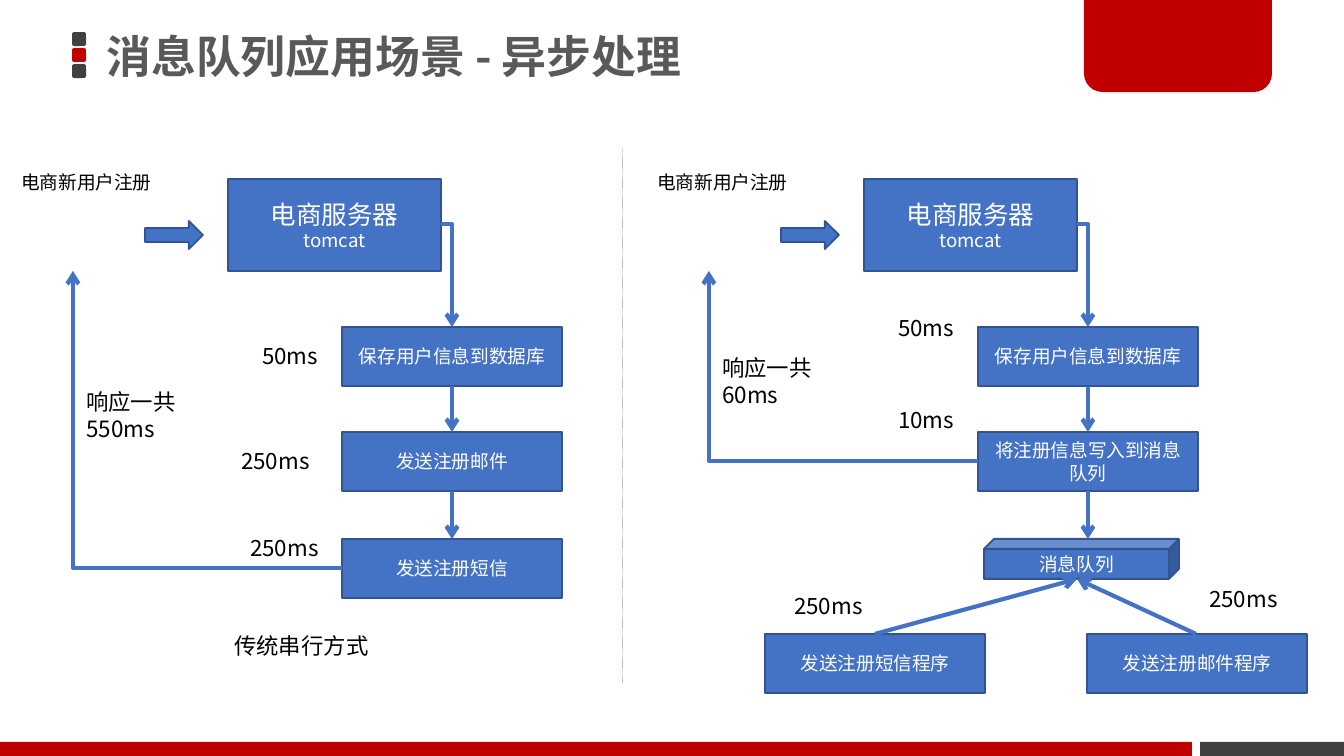
import dataclasses
import pptx
import pptx.util
import pptx.dml.color
import pptx.enum.dml
import pptx.enum.shapes
import pptx.enum.text
import pptx.oxml
import pptx.oxml.ns


@dataclasses.dataclass(frozen=True)
class Theme:
    font: str = "Noto Sans CJK SC"
    red: str = "C00000"
    dark: str = "404040"
    title: str = "595959"
    blue: str = "4472C4"
    outline: str = "325491"
    divider: str = "BFBFBF"
    black: str = "000000"
    white: str = "FFFFFF"
    title_size: float = 24
    server_size: float = 13.7
    label_size: float = 12
    small_size: float = 10
    flow_width: float = 2.25


theme = Theme()
scale = 914400 / 134.4
rgb = pptx.dml.color.RGBColor.from_string
kinds = pptx.enum.shapes.MSO_SHAPE
links = pptx.enum.shapes.MSO_CONNECTOR
align = pptx.enum.text.PP_ALIGN
qn = pptx.oxml.ns.qn


def px(*lengths):
    return [pptx.util.Emu(round(length * scale)) for length in lengths]


def write(frame, text, sizes, color, alignment, bold=False):
    frame.word_wrap = True
    frame.text = text
    for para, size in zip(frame.paragraphs, sizes):
        para.alignment = alignment
        for span in para.runs:
            span.font.name = theme.font
            span.font.size = pptx.util.Pt(size)
            span.font.bold = bold
            span.font.color.rgb = rgb(color)
            east = pptx.oxml.parse_xml(f'<a:ea {pptx.oxml.ns.nsdecls("a")} typeface="{theme.font}"/>')
            span.font._element.append(east)


deck = pptx.Presentation()
deck.slide_width, deck.slide_height = px(1344, 756)
page = deck.slides.add_slide(deck.slide_layouts[5])

title = page.shapes.title
title.left, title.top, title.width, title.height = px(93, 0, 1160, 117)
write(title.text_frame, "消息队列应用场景 - 异步处理", [theme.title_size], theme.title, align.LEFT, True)
title.text_frame.vertical_anchor = pptx.enum.text.MSO_ANCHOR.MIDDLE
title.text_frame.auto_size = pptx.enum.text.MSO_AUTO_SIZE.NONE
title.text_frame.paragraphs[0].line_spacing = 0.9

decorations = [
    (kinds.RECTANGLE, (0, 742, 1192, 14), theme.red, 0),
    (kinds.RECTANGLE, (1200, 742, 144, 14), theme.dark, 0),
    (kinds.ROUND_2_SAME_RECTANGLE, (1084, 0, 188, 92), theme.red, 180),
]
for row, color in enumerate([theme.dark, theme.red, theme.dark]):
    decorations.append((kinds.ROUNDED_RECTANGLE, (72, 32 + 16 * row, 14, 14), color, 0))
for kind, bounds, color, turn in decorations:
    decoration = page.shapes.add_shape(kind, *px(*bounds))
    decoration.shadow.inherit = False
    decoration.fill.solid()
    decoration.fill.fore_color.rgb = rgb(color)
    decoration.line.fill.background()
    decoration.rotation = turn
    if kind == kinds.ROUND_2_SAME_RECTANGLE:
        decoration.adjustments[0] = 0.2

step_size = (220, 59)
nodes = [
    (kinds.RECTANGLE, (342, 539, *step_size), "发送注册短信"),
    (kinds.RECTANGLE, (765, 634, *step_size), "发送注册短信程序"),
    (kinds.RECTANGLE, (1087, 634, *step_size), "发送注册邮件程序"),
    (kinds.CUBE, (984, 539, 195, 40), "消息队列"),
]
labels = [
    ((73, 382, 130, 67), "响应一共550ms", theme.label_size),
    ((249, 336, 93, 40), "50ms", theme.label_size),
    ((228, 441, 114, 40), "250ms", theme.label_size),
    ((237, 528, 105, 40), "250ms", theme.label_size),
    ((221, 626, 187, 40), "传统串行方式", theme.label_size),
    ((709, 348, 130, 67), "响应一共60ms", theme.label_size),
    ((885, 308, 93, 40), "50ms", theme.label_size),
    ((885, 400, 93, 40), "10ms", theme.label_size),
    ((781, 586, 114, 40), "250ms", theme.label_size),
    ((1196, 579, 114, 40), "250ms", theme.label_size),
]
flows = [
    (links.ELBOW, (342, 568, 73, 271)),
    (links.ELBOW, (978, 461, 709, 271)),
    (links.STRAIGHT, (875, 634, 1077, 579)),
    (links.STRAIGHT, (1196, 634, 1077, 579)),
]
for shift, second_step in [(0, "发送注册邮件"), (636, "将注册信息写入到消息队列")]:
    center = 452 + shift
    nodes += [
        (kinds.RECTANGLE, (228 + shift, 179, 213, 92), "电商服务器\ntomcat"),
        (kinds.RIGHT_ARROW, (145 + shift, 221, 58, 28), ""),
        (kinds.RECTANGLE, (342 + shift, 327, *step_size), "保存用户信息到数据库"),
        (kinds.RECTANGLE, (342 + shift, 432, *step_size), second_step),
    ]
    labels.append(((8 + shift, 164, 175, 36), "电商新用户注册", theme.small_size))
    flows += [
        (links.ELBOW, (441 + shift, 224, center, 327)),
        (links.STRAIGHT, (center, 386, center, 432)),
        (links.STRAIGHT, (center, 491, center, 539)),
    ]

for kind, bounds, text in nodes:
    node = page.shapes.add_shape(kind, *px(*bounds))
    node.shadow.inherit = False
    node.fill.solid()
    node.fill.fore_color.rgb = rgb(theme.blue)
    node.line.color.rgb = rgb(theme.outline)
    node.line.width = pptx.util.Pt(1)
    if text:
        sizes = [theme.server_size, theme.small_size] if "\n" in text else [theme.small_size]
        write(node.text_frame, text, sizes, theme.white, align.CENTER)
        node.text_frame.vertical_anchor = pptx.enum.text.MSO_ANCHOR.MIDDLE

for bounds, text, size in labels:
    box = page.shapes.add_textbox(*px(*bounds))
    write(box.text_frame, text, [size], theme.black, align.LEFT)

divider = (links.STRAIGHT, (622, 149, 622, 683))
for kind, ends in [divider, *flows]:
    link = page.shapes.add_connector(kind, *px(*ends))
    properties = link._element.spPr
    if kind == links.ELBOW:
        properties.find(qn("a:prstGeom")).set("prst", "bentConnector2")
    if ends == divider[1]:
        link.line.color.rgb = rgb(theme.divider)
        link.line.width = pptx.util.Pt(0.25)
        link.line.dash_style = pptx.enum.dml.MSO_LINE.SQUARE_DOT
    else:
        link.line.color.rgb = rgb(theme.blue)
        link.line.width = pptx.util.Pt(theme.flow_width)
        head = pptx.oxml.parse_xml(f'<a:tailEnd {pptx.oxml.ns.nsdecls("a")} type="arrow"/>')
        properties.find(qn("a:ln")).append(head)
    properties.append(pptx.oxml.parse_xml(f'<a:effectLst {pptx.oxml.ns.nsdecls("a")}/>'))

deck.save("out.pptx")
